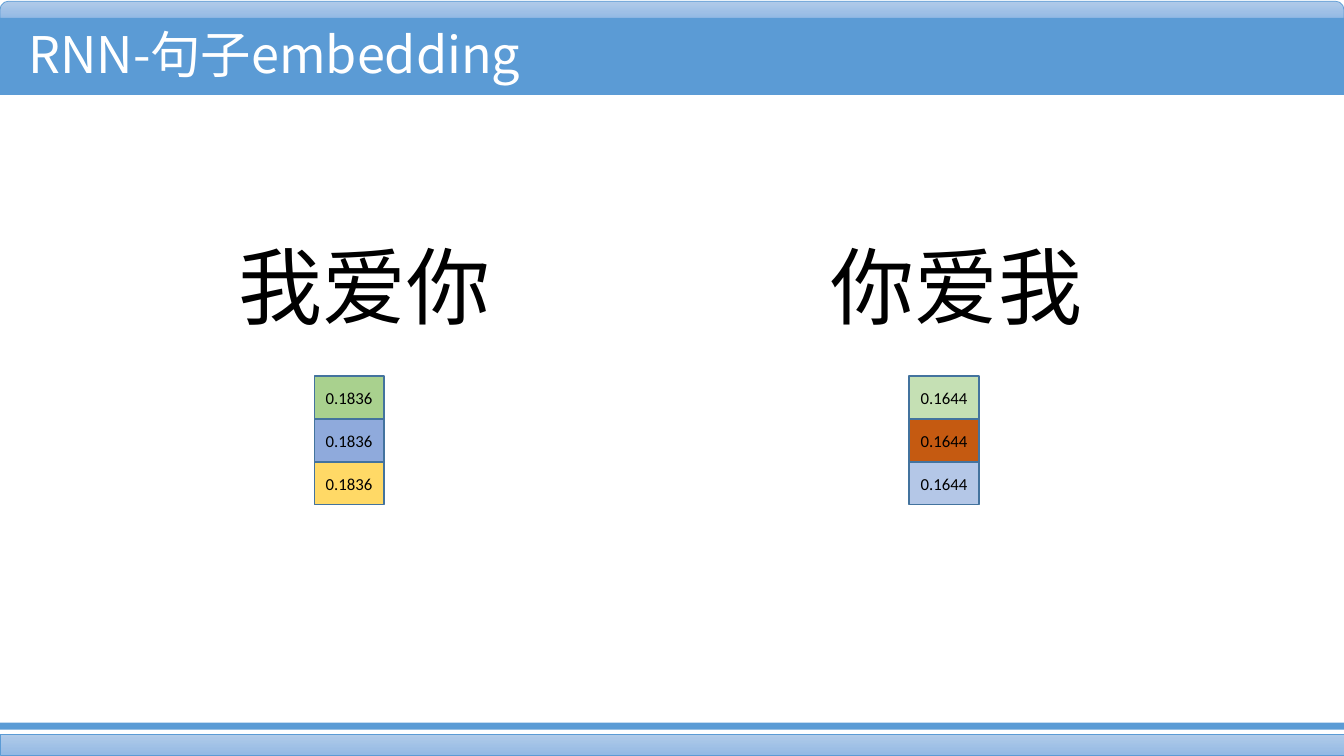
import pptx
import pptx.dml.color
import pptx.enum.shapes
import pptx.enum.text
import pptx.oxml
import pptx.oxml.ns
import pptx.util

Cm = pptx.util.Cm
Pt = pptx.util.Pt
SHAPES = pptx.enum.shapes.MSO_SHAPE
ALIGN = pptx.enum.text.PP_ALIGN

WIDTH, HEIGHT = 33.87, 19.05
CJK_FONT = "Noto Sans CJK SC"
BLUE = "5B9BD5"
CELL_WIDTH, CELL_HEIGHT = 1.76, 1.08
CELL_TOP = 9.48


def colour(value):
    return pptx.dml.color.RGBColor.from_string(value)


def add_block(page, kind, left, top, width, height):
    block = page.shapes.add_shape(kind, Cm(left), Cm(top), Cm(width), Cm(height))
    block.shadow.inherit = False
    return block


def set_line(shape, value, points):
    shape.line.color.rgb = colour(value)
    shape.line.width = Pt(points)


def add_plain_bar(page, top, height):
    bar = add_block(page, SHAPES.RECTANGLE, 0, top, WIDTH, height)
    bar.fill.solid()
    bar.fill.fore_color.rgb = colour(BLUE)
    bar.line.fill.background()


def add_gradient_bar(page, kind, top, height):
    bar = add_block(page, kind, 0, top, WIDTH, height)
    bar.fill.gradient()
    bar.fill.gradient_angle = 270
    for stop, value in zip(bar.fill.gradient_stops, ("B1CBE9", "93B9E4")):
        stop.color.rgb = colour(value)
    set_line(bar, BLUE, 0.5)
    return bar


def write(shape, text, value, align=ALIGN.LEFT, **font_format):
    """Put one run in the shape, with the CJK font for Chinese characters."""
    para = shape.text_frame.paragraphs[0]
    para.alignment = align
    span = para.add_run()
    span.text = text
    span.font.color.rgb = colour(value)
    for name, setting in font_format.items():
        setattr(span.font, name, setting)
    east_asian = pptx.oxml.parse_xml(
        f'<a:ea {pptx.oxml.ns.nsdecls("a")} typeface="{CJK_FONT}"/>')
    span.font._element.find(pptx.oxml.ns.qn("a:latin")).addnext(east_asian)


def add_label(page, text, left, top, width, height, value, **font_format):
    box = page.shapes.add_textbox(Cm(left), Cm(top), Cm(width), Cm(height))
    box.text_frame.word_wrap = False
    box.text_frame.auto_size = pptx.enum.text.MSO_AUTO_SIZE.SHAPE_TO_FIT_TEXT
    write(box, text, value, **font_format)


def add_vector(page, left, number, fills):
    """Stack one cell per fill colour, each showing the number."""
    for row, fill in enumerate(fills):
        cell = add_block(page, SHAPES.RECTANGLE, left, CELL_TOP + row * CELL_HEIGHT,
                         CELL_WIDTH, CELL_HEIGHT)
        cell.fill.solid()
        cell.fill.fore_color.rgb = colour(fill)
        set_line(cell, "43739E", 1)
        cell.text_frame.vertical_anchor = pptx.enum.text.MSO_ANCHOR.MIDDLE
        write(cell, number, "000000", ALIGN.CENTER, name="Calibri", size=Pt(12))


def main():
    deck = pptx.Presentation()
    deck.slide_width, deck.slide_height = Cm(WIDTH), Cm(HEIGHT)
    page = deck.slides.add_slide(deck.slide_layouts[6])

    top_bar = add_gradient_bar(page, SHAPES.ROUND_2_SAME_RECTANGLE, 0.03, 0.43)
    top_bar.adjustments[0] = 0.5
    add_plain_bar(page, 0.46, 1.93)
    add_gradient_bar(page, SHAPES.RECTANGLE, 18.5, 0.53)
    add_plain_bar(page, 18.21, 0.18)

    add_label(page, "RNN-句子embedding", 0.46, 0.46, 13.61, 1.8, "FFFFFF",
              name=CJK_FONT, size=Pt(36))
    sentences = (
        ("我爱你", 5.77, 7.92, "0.1836", ("A9D18E", "8FAADC", "FFD966")),
        ("你爱我", 20.68, 22.91, "0.1644", ("C5E0B4", "C55A11", "B4C7E7")),
    )
    for sentence, label_left, vector_left, number, fills in sentences:
        add_vector(page, vector_left, number, fills)
        add_label(page, sentence, label_left, 5.79, 6.93, 2.82, "000000",
                  name="Calibri", size=Pt(60))

    deck.save("out.pptx")


if __name__ == "__main__":
    main()
